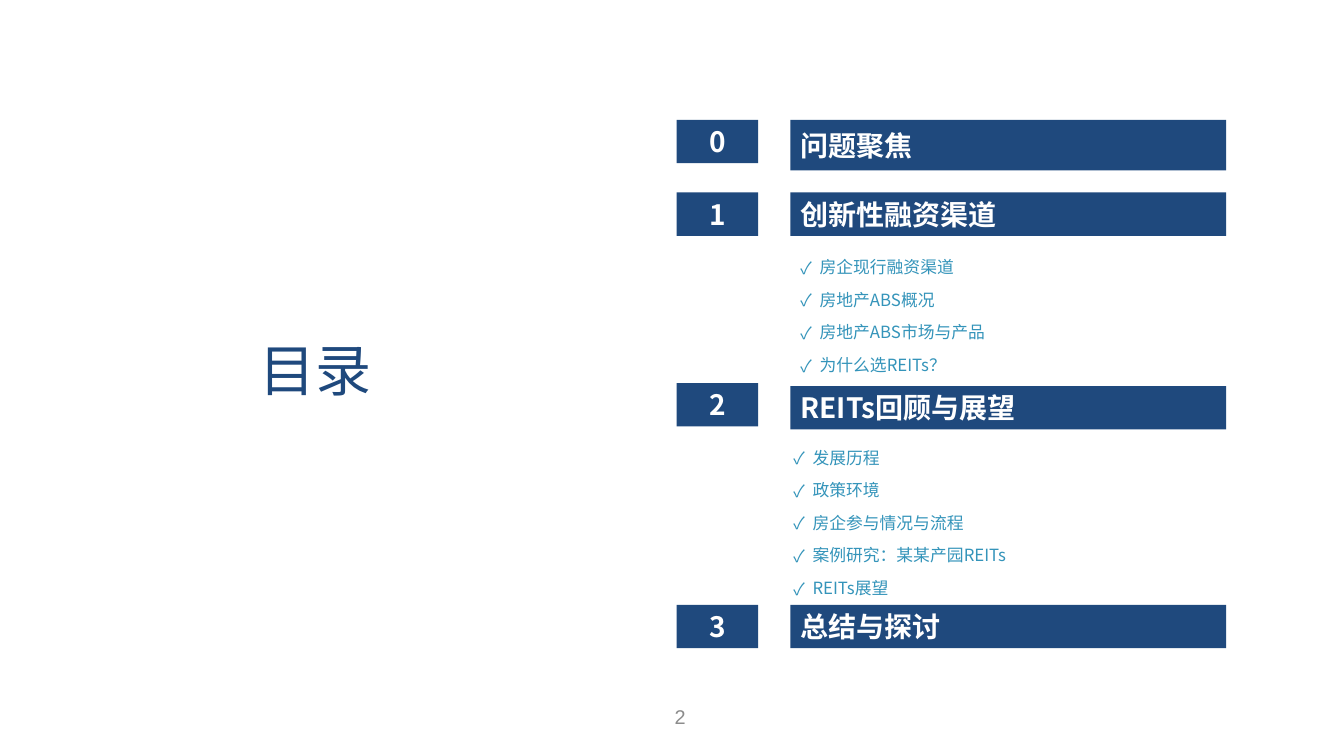
from lxml import etree
from pptx import Presentation
from pptx.dml.color import RGBColor
from pptx.enum import shapes, text
from pptx.oxml.ns import qn
from pptx.util import Inches, Pt

NAVY = RGBColor(0x1F, 0x49, 0x7D)
TEAL = RGBColor(0x34, 0x94, 0xBA)
GREY = RGBColor(0x8C, 0x8C, 0x8C)
WHITE = RGBColor(0xFF, 0xFF, 0xFF)
BODY_FONT = "Noto Sans CJK SC"

NUMBER_LEFT, NUMBER_WIDTH = 6.71, 0.81
HEADING_LEFT, HEADING_WIDTH = 7.84, 4.32
BAR_HEIGHT = 0.43

# heading, number top, heading top, heading height
SECTIONS = [
    ("问题聚焦", 1.19, 1.19, 0.5),
    ("创新性融资渠道", 1.91, 1.91, BAR_HEIGHT),
    ("REITs回顾与展望", 3.8, 3.83, BAR_HEIGHT),
    ("总结与探讨", 6, 6, BAR_HEIGHT),
]
FINANCING_TOPICS = ["房企现行融资渠道", "房地产ABS概况", "房地产ABS市场与产品", "为什么选REITs？"]
REITS_TOPICS = ["发展历程", "政策环境", "房企参与情况与流程", "案例研究：某某产园REITs", "REITs展望"]


def set_font(paragraph, name, size, color, bold=False):
    """Format a paragraph, using the same typeface for Chinese text."""
    font = paragraph.font
    font.name, font.size, font.bold = name, Pt(size), bold
    font.color.rgb = color
    properties = paragraph._p.pPr.find(qn("a:defRPr"))
    etree.SubElement(properties, qn("a:ea"), typeface=name)


def add_title(slide, title):
    placeholder = slide.shapes.title
    placeholder.left, placeholder.top = Inches(2.47), Inches(3.28)
    placeholder.width, placeholder.height = Inches(1.37), Inches(0.77)
    frame = placeholder.text_frame
    frame.text = title
    frame.auto_size = text.MSO_AUTO_SIZE.NONE
    frame.vertical_anchor = text.MSO_ANCHOR.TOP
    paragraph = frame.paragraphs[0]
    paragraph.alignment = text.PP_ALIGN.LEFT
    set_font(paragraph, "Calibri", 40, NAVY)


def add_bar(slide, label, left, top, width, height, alignment):
    bar = slide.shapes.add_shape(
        shapes.MSO_SHAPE.RECTANGLE, Inches(left), Inches(top), Inches(width), Inches(height))
    bar.shadow.inherit = False
    bar.fill.solid()
    bar.fill.fore_color.rgb = NAVY
    bar.line.fill.background()
    frame = bar.text_frame
    frame.text = label
    frame.vertical_anchor = text.MSO_ANCHOR.MIDDLE
    paragraph = frame.paragraphs[0]
    paragraph.alignment = alignment
    set_font(paragraph, BODY_FONT, 20, WHITE, bold=True)


def add_checklist(slide, topics, left, top, height):
    box = slide.shapes.add_textbox(Inches(left), Inches(top), Inches(2.78), Inches(height))
    frame = box.text_frame
    frame.word_wrap = True
    frame.text = "\n".join(topics)
    for paragraph in frame.paragraphs:
        paragraph.line_spacing = 1.2
        paragraph.space_after = Pt(6)
        properties = paragraph._p.get_or_add_pPr()
        properties.set("marL", str(Inches(0.19)))
        properties.set("indent", str(-Inches(0.19)))
        etree.SubElement(properties, qn("a:buFont"), typeface=BODY_FONT)
        etree.SubElement(properties, qn("a:buChar"), char="✓")
        set_font(paragraph, BODY_FONT, 12, TEAL)


def add_slide_number(slide, number):
    box = slide.shapes.add_textbox(Inches(4.67), Inches(6.84), Inches(4.15), Inches(0.53))
    frame = box.text_frame
    frame.word_wrap = True
    frame.vertical_anchor = text.MSO_ANCHOR.MIDDLE
    frame.margin_left = frame.margin_right = Inches(0.18)
    frame.margin_top = frame.margin_bottom = Inches(0.09)
    frame.text = number
    paragraph = frame.paragraphs[0]
    paragraph.alignment = text.PP_ALIGN.CENTER
    set_font(paragraph, "Arial", 14.2, GREY)


def main():
    presentation = Presentation()
    presentation.slide_width, presentation.slide_height = Inches(13.33), Inches(7.5)
    slide = presentation.slides.add_slide(presentation.slide_layouts.get_by_name("Title Only"))
    add_title(slide, "目录")
    for number, (heading, number_top, heading_top, heading_height) in enumerate(SECTIONS):
        add_bar(slide, str(number), NUMBER_LEFT, number_top, NUMBER_WIDTH, BAR_HEIGHT,
                text.PP_ALIGN.CENTER)
        add_bar(slide, heading, HEADING_LEFT, heading_top, HEADING_WIDTH, heading_height,
                text.PP_ALIGN.LEFT)
    add_checklist(slide, FINANCING_TOPICS, 7.84, 2.46, 1.3)
    add_checklist(slide, REITS_TOPICS, 7.77, 4.35, 1.63)
    add_slide_number(slide, "2")
    presentation.save("out.pptx")


if __name__ == "__main__":
    main()
